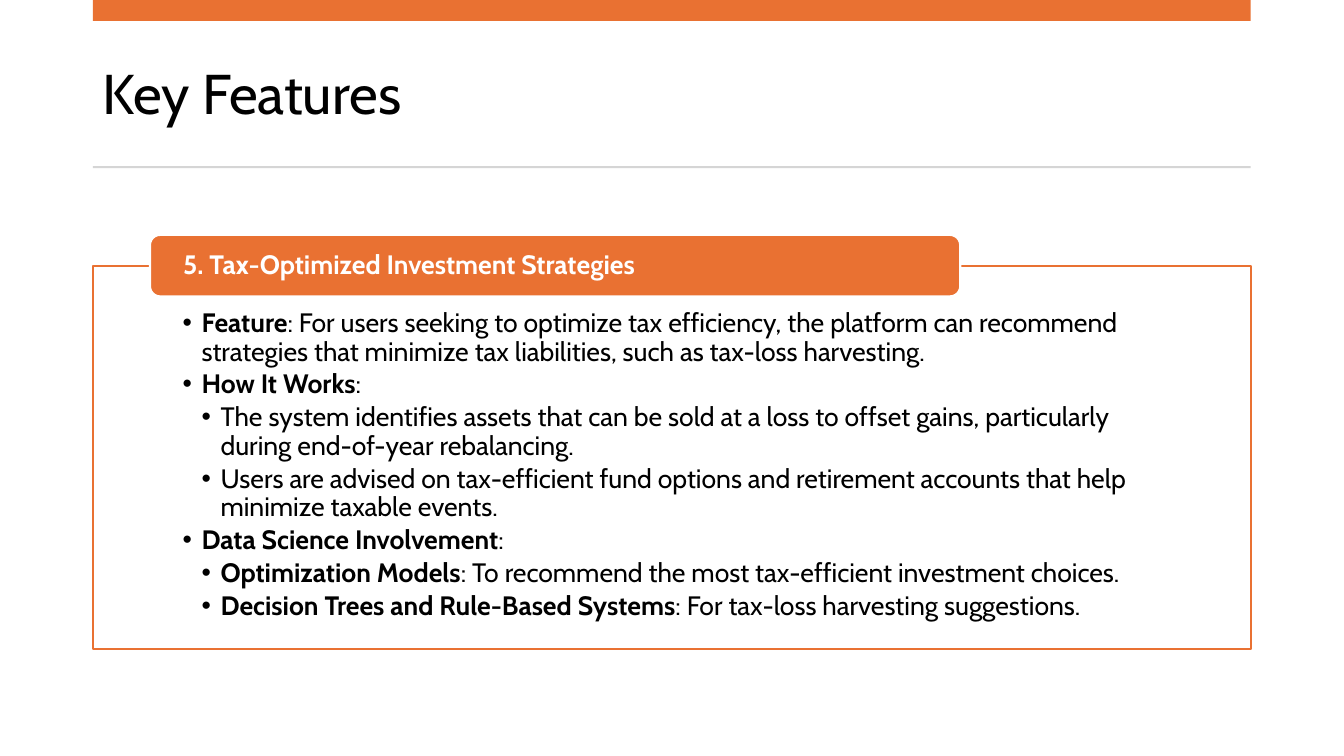
from lxml.etree import SubElement
from pptx import Presentation
from pptx.dml.color import RGBColor
from pptx.enum.shapes import MSO_SHAPE
from pptx.enum.text import MSO_ANCHOR, MSO_AUTO_SIZE, PP_ALIGN
from pptx.oxml.ns import qn
from pptx.util import Cm, Pt

# Content: level, bold lead, plain text
TITLE = "Key Features"
HEADING = "5. Tax-Optimized Investment Strategies"
POINTS = [
    (0, "Feature", ": For users seeking to optimize tax efficiency, the platform can "
     "recommend strategies that minimize tax liabilities, such as tax-loss harvesting."),
    (0, "How It Works", ":"),
    (1, "", "The system identifies assets that can be sold at a loss to offset gains, "
     "particularly during end-of-year rebalancing."),
    (1, "", "Users are advised on tax-efficient fund options and retirement accounts "
     "that help minimize taxable events."),
    (0, "Data Science Involvement", ":"),
    (1, "Optimization Models",
     ": To recommend the most tax-efficient investment choices."),
    (1, "Decision Trees and Rule-Based Systems", ": For tax-loss harvesting suggestions."),
]
COLORS = {"accent": "E97132", "rule": "D5D5D5", "paper": "FFFFFF", "ink": "000000"}
FONT = "Cabin"
SIZE = 19
LEFT, WIDTH = 2.34, 29.18
STEP = 0.48


def color(name):
    return RGBColor.from_string(COLORS[name])


def place(shape, left, top, width, height):
    shape.left, shape.top = Cm(left), Cm(top)
    shape.width, shape.height = Cm(width), Cm(height)


def paint(shape, fill, line=None):
    shape.fill.solid()
    shape.fill.fore_color.rgb = color(fill)
    if line:
        shape.line.color.rgb = color(line)
        shape.line.width = Pt(1.5)
    else:
        shape.line.fill.background()


def block(kind, fill, box, line=None):
    shape = slide.shapes.add_shape(kind, *map(Cm, box))
    shape.shadow.inherit = False
    paint(shape, fill, line)
    return shape


def setup(frame, anchor, left, top, right, bottom):
    frame.word_wrap = True
    frame.auto_size = MSO_AUTO_SIZE.NONE
    frame.vertical_anchor = anchor
    frame.margin_left, frame.margin_top = Cm(left), Cm(top)
    frame.margin_right, frame.margin_bottom = Cm(right), Cm(bottom)


def write(para, text, size=SIZE, ink="ink", bold=False, after=0):
    para.alignment = PP_ALIGN.LEFT
    para.line_spacing = 0.9
    para.space_before, para.space_after = Pt(0), Pt(after)
    run = para.add_run()
    run.text = text
    run.font.name, run.font.size, run.font.bold = FONT, Pt(size), bold
    run.font.color.rgb = color(ink)


def bullet(para, level):
    para.level = level
    props = para._p.get_or_add_pPr()
    props.set("marL", str(Cm(STEP * (level + 1))))
    props.set("indent", str(-Cm(STEP)))
    SubElement(props, qn("a:buChar"), char="•")


deck = Presentation()
deck.slide_width, deck.slide_height = Cm(33.87), Cm(19.05)
slide = deck.slides.add_slide(deck.slide_layouts[1])

# Title with band above and rule below
title = slide.shapes.title
place(title, LEFT, 0.94, WIDTH, 3)
setup(title.text_frame, MSO_ANCHOR.MIDDLE, 0.25, 0.13, 0.25, 0.13)
write(title.text_frame.paragraphs[0], TITLE, size=40)
block(MSO_SHAPE.RECTANGLE, "accent", (LEFT, 0, WIDTH, 0.53))
block(MSO_SHAPE.RECTANGLE, "rule", (LEFT, 4.19, WIDTH, 0.05))

# Framed list
body = slide.placeholders[1]
place(body, LEFT, 6.71, WIDTH, 9.65)
paint(body, "paper", "accent")
tint = body.fill._xPr.find(qn("a:solidFill"))[0]
SubElement(tint, qn("a:alpha"), val="90000")
frame = body.text_frame
setup(frame, MSO_ANCHOR.TOP, 2.26, 1.09, 2.26, 0.38)
for i, (level, lead, rest) in enumerate(POINTS):
    para = frame.add_paragraph() if i else frame.paragraphs[0]
    if lead:
        write(para, lead, bold=True, after=2.85)
    write(para, rest, after=2.85)
    bullet(para, level)

# Heading tab over the frame's top edge
tab = block(MSO_SHAPE.ROUNDED_RECTANGLE, "accent", (3.78, 5.92, 20.42, 1.55), "paper")
setup(tab.text_frame, MSO_ANCHOR.MIDDLE, 0.76, 0, 0.76, 0)
write(tab.text_frame.paragraphs[0], HEADING, ink="paper", bold=True)

deck.save("out.pptx")
